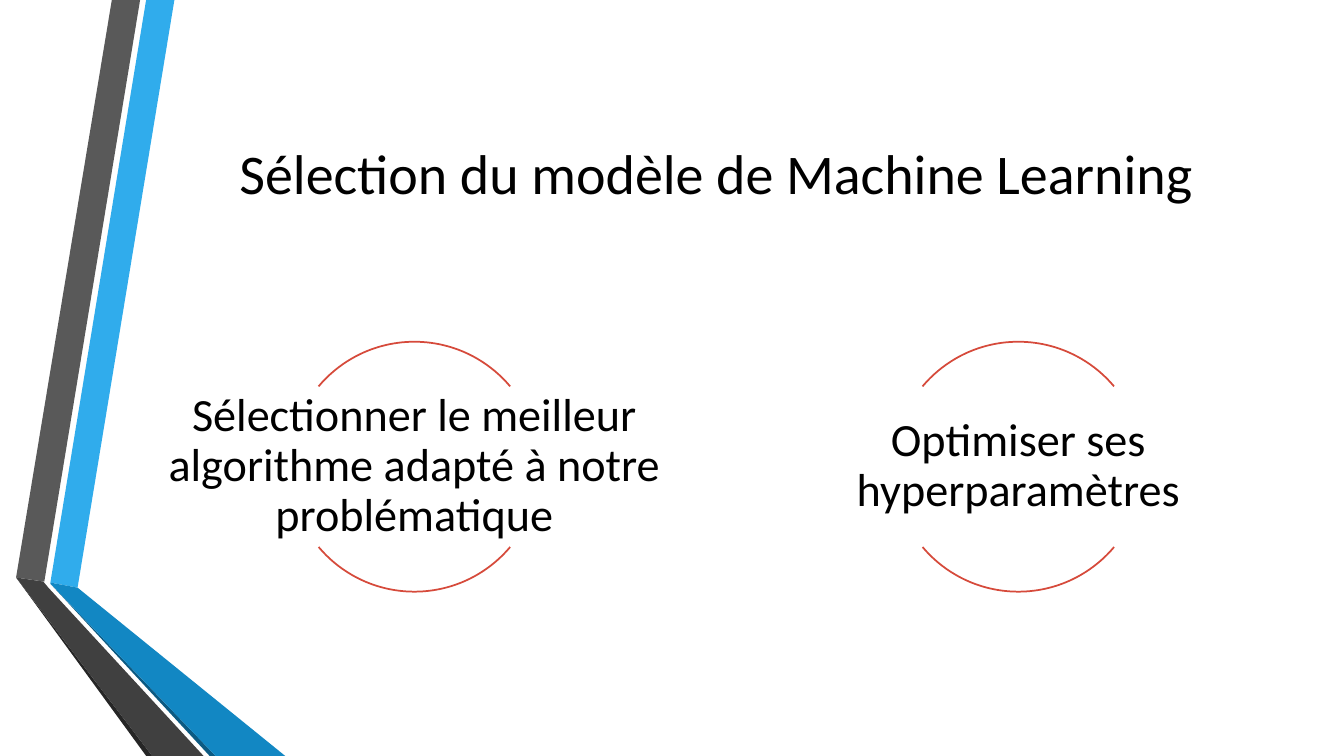
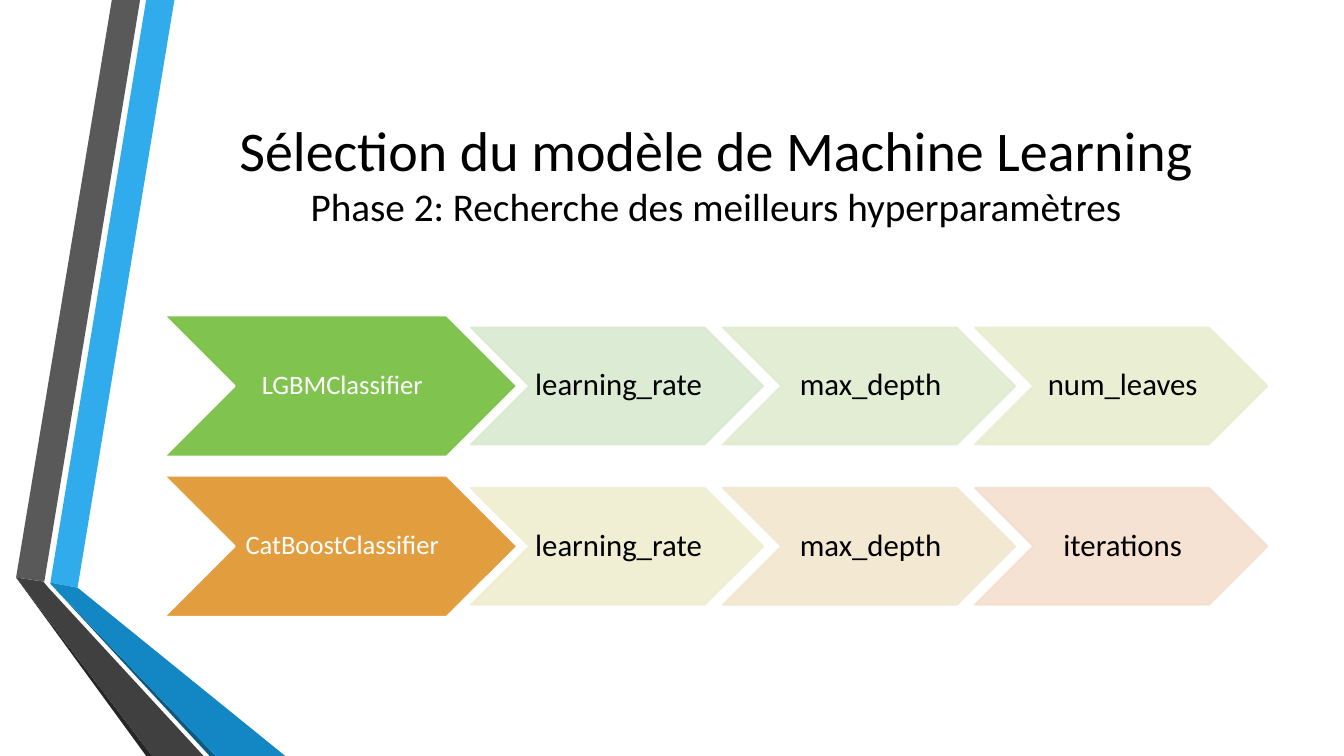
from dataclasses import dataclass
from typing import NamedTuple

from lxml.etree import SubElement
from pptx import Presentation
from pptx.dml.color import RGBColor
from pptx.enum.shapes import MSO_SHAPE
from pptx.enum.text import MSO_ANCHOR, PP_ALIGN
from pptx.oxml.ns import qn
from pptx.shapes.autoshape import Shape
from pptx.slide import Slide
from pptx.text.text import TextFrame
from pptx.util import Inches, Pt


@dataclass(frozen=True)
class Theme:
    font: str = "Calibri"
    ink: str = "000000"
    white: str = "FFFFFF"
    arc: str = "D64A3B"
    sky: str = "30ACEC"
    blue: str = "1287C3"
    navy: str = "0C5A82"
    gray: str = "595959"
    dark: str = "404040"
    black: str = "262626"
    title: int = 40
    phase: int = 28
    goal: int = 33
    model: int = 19
    param: int = 22
    line: float = 1.25


THEME = Theme()


class Box(NamedTuple):
    left: float
    top: float
    width: float
    height: float


class Line(NamedTuple):
    text: str
    size: int


class Band(NamedTuple):
    color: str
    points: tuple[tuple[float, float], ...]


class Goal(NamedTuple):
    text: str
    left: float


class Step(NamedTuple):
    text: str
    color: str


class Row(NamedTuple):
    model: Step
    params: tuple[Step, ...]


BANDS = (
    Band(THEME.sky, ((0.5, 5.78), (0.77, 5.83), (1.73, 0), (1.45, 0))),
    Band(THEME.gray, ((1.39, 0), (1.11, 0), (0.16, 5.73), (0.44, 5.77))),
    Band(THEME.black, ((0.16, 5.73), (1.45, 7.5), (1.51, 7.5))),
    Band(THEME.navy, ((0.5, 5.79), (2.08, 7.5), (2.14, 7.5))),
    Band(THEME.blue, ((0.5, 5.78), (0.5, 5.79), (2.14, 7.5), (2.83, 7.5), (0.77, 5.83))),
    Band(THEME.dark, ((2.02, 7.5), (0.48, 5.83), (0.43, 5.77), (0.16, 5.73), (1.51, 7.5))),
)
TITLE = Line("Sélection du modèle de Machine Learning", THEME.title)
PHASE = Line("Phase 2: Recherche des meilleurs hyperparamètres", THEME.phase)
GOALS = (
    Goal("Sélectionner le meilleur algorithme adapté à notre problématique", 1.63),
    Goal("Optimiser ses hyperparamètres", 7.62),
)
ROWS = (
    Row(
        Step("LGBMClassifier", "80C34F"),
        (
            Step("learning_rate", "D8E9D0"),
            Step("max_depth", "DFECD0"),
            Step("num_leaves", "E8EECF"),
        ),
    ),
    Row(
        Step("CatBoostClassifier", "E29D3E"),
        (
            Step("learning_rate", "F0EECF"),
            Step("max_depth", "F2E7CF"),
            Step("iterations", "F4DFCE"),
        ),
    ),
)


def rgb(color: str) -> RGBColor:
    return RGBColor.from_string(color)


def write(
    frame: TextFrame,
    *lines: Line,
    color: str = THEME.ink,
    space: float = 1.0,
    pad: tuple[float, float, float, float] = (0.1, 0.05, 0.1, 0.05),
) -> None:
    frame.word_wrap = True
    frame.vertical_anchor = MSO_ANCHOR.MIDDLE
    (
        frame.margin_left,
        frame.margin_top,
        frame.margin_right,
        frame.margin_bottom,
    ) = map(Inches, pad)
    para = frame.paragraphs[0]
    para.alignment = PP_ALIGN.CENTER
    para.line_spacing = space
    for index, line in enumerate(lines):
        if index:
            para.add_line_break()
        run = para.add_run()
        run.text = line.text
        run.font.name = THEME.font
        run.font.size = Pt(line.size)
        run.font.color.rgb = rgb(color)


def add_text(slide: Slide, box: Box) -> TextFrame:
    return slide.shapes.add_textbox(*map(Inches, box)).text_frame


def add_form(
    slide: Slide, kind: MSO_SHAPE, box: Box, edge: str, fill: str | None = None
) -> Shape:
    shape = slide.shapes.add_shape(kind, *map(Inches, box))
    shape.shadow.inherit = False
    if fill:
        shape.fill.solid()
        shape.fill.fore_color.rgb = rgb(fill)
    else:
        shape.fill.background()
    shape.line.color.rgb = rgb(edge)
    shape.line.width = Pt(THEME.line)
    return shape


def fade(shape: Shape, percent: int) -> None:
    for color in shape.element.spPr.iter(qn("a:srgbClr")):
        SubElement(color, qn("a:alpha"), val=str(percent * 1000))


def add_band(slide: Slide, band: Band) -> None:
    first, *rest = [(Inches(x), Inches(y)) for x, y in band.points]
    pen = slide.shapes.build_freeform(*first)
    pen.add_line_segments(rest, close=True)
    shape = pen.convert_to_shape()
    shape.shadow.inherit = False
    shape.fill.solid()
    shape.fill.fore_color.rgb = rgb(band.color)
    shape.line.fill.background()


def add_page(deck: Presentation, *title: Line) -> Slide:
    slide = deck.slides.add_slide(deck.slide_layouts[6])
    for band in BANDS:
        add_band(slide, band)
    write(add_text(slide, Box(1.62, 0.75, 10.96, 1.92)), *title)
    return slide


def add_goal(slide: Slide, goal: Goal) -> None:
    width, ring = 4.96, 2.48
    left = goal.left + (width - ring) / 2
    for start, end in ((132, 192), (24, 84)):
        arc = add_form(slide, MSO_SHAPE.ARC, Box(left, 3.39, ring, ring), THEME.arc)
        arc.adjustments[0] = start
        arc.adjustments[1] = end
    frame = add_text(slide, Box(goal.left, 3.83, width, 1.59))
    write(frame, Line(goal.text, THEME.goal), space=0.9, pad=(0.02,) * 4)


def add_row(slide: Slide, row: Row, top: float) -> None:
    box = Box(1.63, top, 3.5, 1.4)
    head = add_form(slide, MSO_SHAPE.CHEVRON, box, THEME.white, row.model.color)
    write(
        head.text_frame,
        Line(row.model.text, THEME.model),
        color=THEME.white,
        space=0.9,
        pad=(0.03, 0.01, 0, 0.01),
    )
    for index, step in enumerate(row.params):
        box = Box(4.67 + index * 2.5, top + 0.12, 2.9, 1.16)
        shape = add_form(slide, MSO_SHAPE.CHEVRON, box, step.color, step.color)
        fade(shape, 90)
        write(
            shape.text_frame,
            Line(step.text, THEME.param),
            space=0.9,
            pad=(0.03, 0.02, 0, 0.02),
        )


def main() -> None:
    deck = Presentation()
    deck.slide_width = Inches(13.33)
    deck.slide_height = Inches(7.5)
    slide = add_page(deck, TITLE)
    for goal in GOALS:
        add_goal(slide, goal)
    slide = add_page(deck, TITLE, PHASE)
    for index, row in enumerate(ROWS):
        add_row(slide, row, 3.13 + index * 1.59)
    deck.save("out.pptx")


if __name__ == "__main__":
    main()
